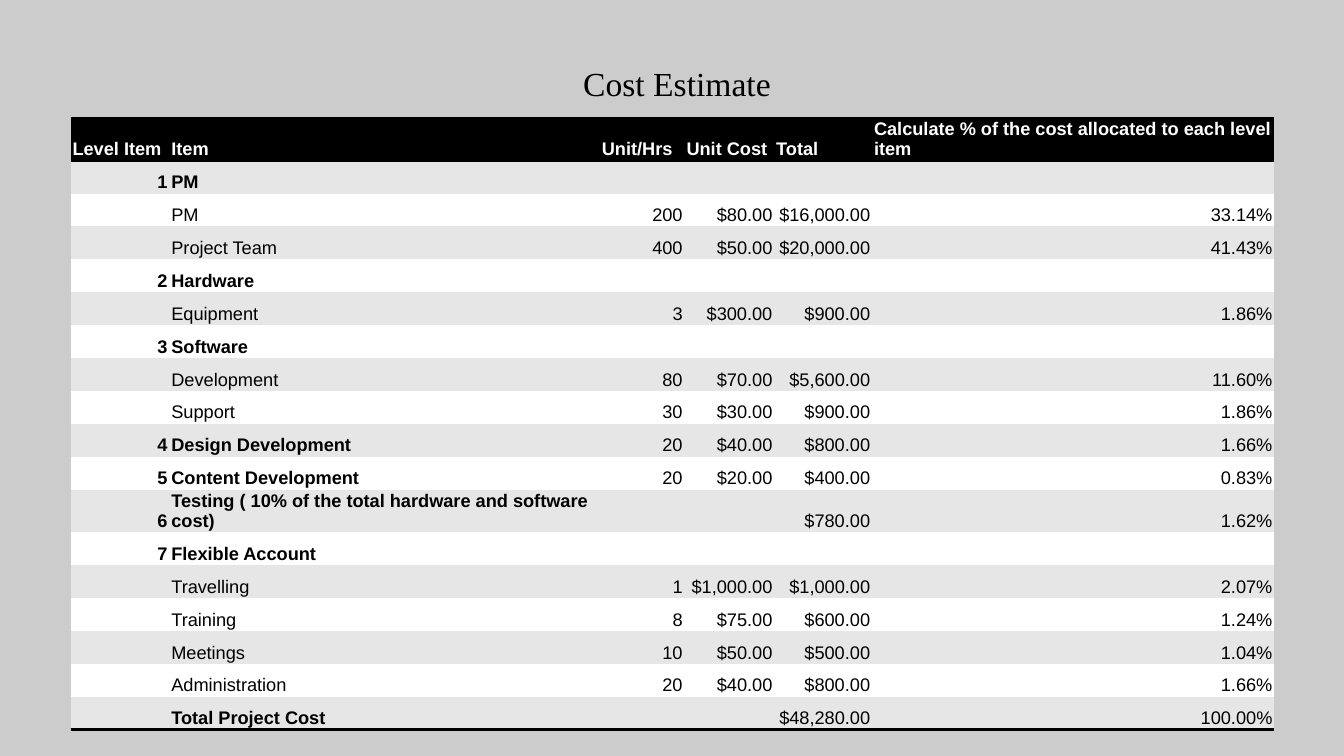
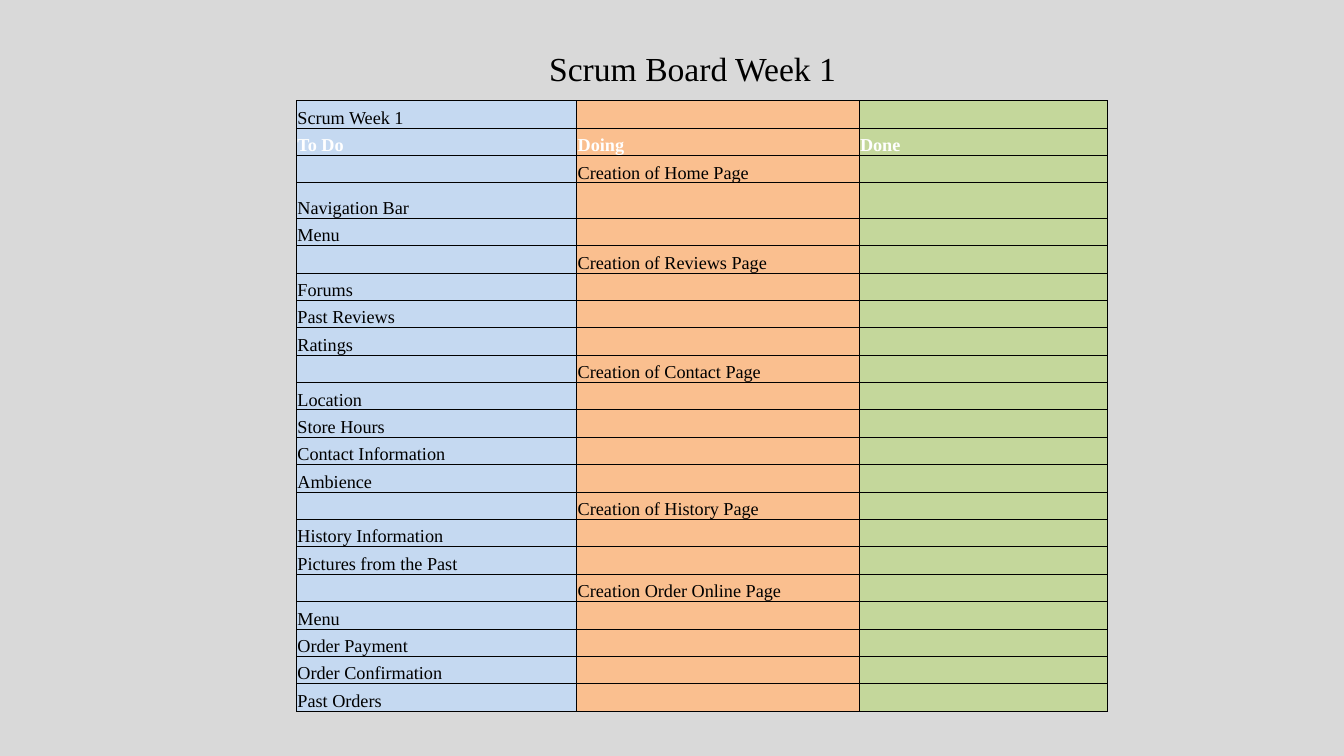
import dataclasses

import lxml.etree
import pptx
import pptx.dml.color
import pptx.enum.text
import pptx.oxml.ns
import pptx.util

Inches = pptx.util.Inches
Align = pptx.enum.text.PP_ALIGN
Anchor = pptx.enum.text.MSO_ANCHOR
qn = pptx.oxml.ns.qn
NO_STYLE = "{2D5ABB26-0587-4C30-8999-92F81FD0307C}"


@dataclasses.dataclass(frozen=True)
class Theme:
    serif: str = "Times New Roman"
    sans: str = "Arial"
    title_size: int = 24
    table_size: int = 13
    black: str = "000000"
    white: str = "FFFFFF"
    cost_page: str = "CCCCCC"
    band: str = "E6E6E6"
    board_page: str = "D9D9D9"
    board_columns: tuple = ("C5D9F1", "FABF8F", "C4D79B")


THEME = Theme()


def rgb(value):
    return pptx.dml.color.RGBColor.from_string(value)


@dataclasses.dataclass
class CellStyle:
    fill: str
    color: str = THEME.black
    bold: bool = False
    align: Align = Align.LEFT
    borders: str = ""  # sides to draw, out of L, R, T and B


class SlideBuilder:
    """Holds the deck, the theme and the current page."""

    def __init__(self, theme):
        self.theme = theme
        self.deck = pptx.Presentation()
        self.deck.slide_width = Inches(13.33)
        self.deck.slide_height = Inches(7.5)
        self.page = None

    def add_page(self, background):
        self.page = self.deck.slides.add_slide(self.deck.slide_layouts[5])
        fill = self.page.background.fill
        fill.solid()
        fill.fore_color.rgb = rgb(background)

    def format_span(self, span, font, size, color, bold=False):
        span.font.name = font
        span.font.size = pptx.util.Pt(size)
        span.font.color.rgb = rgb(color)
        span.font.bold = bold

    def title(self, text, left, top, width):
        box = self.page.shapes.title
        box.left, box.top = Inches(left), Inches(top)
        box.width, box.height = Inches(width), Inches(0.5)
        frame = box.text_frame
        frame.text = text
        frame.vertical_anchor = Anchor.TOP
        para = frame.paragraphs[0]
        para.alignment = Align.CENTER
        self.format_span(para.runs[0], self.theme.serif,
                         self.theme.title_size, self.theme.black)

    def border(self, cell, side, width):
        line = lxml.etree.SubElement(cell._tc.get_or_add_tcPr(), qn("a:ln" + side))
        line.set("w", str(pptx.util.Pt(width)))
        fill = lxml.etree.SubElement(line, qn("a:solidFill"))
        lxml.etree.SubElement(fill, qn("a:srgbClr")).set("val", self.theme.black)

    def cell(self, cell, text, style, font, inset, line_width):
        left, top, right, bottom = inset
        cell.margin_left, cell.margin_right = Inches(left), Inches(right)
        cell.margin_top, cell.margin_bottom = Inches(top), Inches(bottom)
        cell.vertical_anchor = Anchor.BOTTOM
        for side in style.borders:
            self.border(cell, side, line_width)
        cell.fill.solid()
        cell.fill.fore_color.rgb = rgb(style.fill)
        para = cell.text_frame.paragraphs[0]
        size = self.theme.table_size
        if text:
            para.text = text
            para.alignment = style.align
            self.format_span(para.runs[0], font, size, style.color, style.bold)
        else:  # a small end mark keeps empty rows low
            end = lxml.etree.SubElement(para._p, qn("a:endParaRPr"))
            end.set("sz", str(size * 100))

    def table(self, left, top, widths, heights, rows, style_for,
              font, inset, line_width):
        table = self.page.shapes.add_table(
            len(rows), len(widths), Inches(left), Inches(top),
            Inches(sum(widths)), Inches(sum(heights))).table
        table.first_row = table.horz_banding = False
        table._tbl.tblPr.find(qn("a:tableStyleId")).text = NO_STYLE
        for column, width in zip(table.columns, widths):
            column.width = Inches(width)
        for r, (texts, height) in enumerate(zip(rows, heights)):
            table.rows[r].height = Inches(height)
            for c, text in enumerate(texts):
                self.cell(table.cell(r, c), text, style_for(r, c), font,
                          inset, line_width)


# Content: cost table
COST_ROWS = [
    ("Level Item", "Item", "Unit/Hrs", "Unit Cost", "Total",
     "Calculate % of the cost allocated to each level item"),
    ("1", "PM", "", "", "", ""),
    ("", "PM", "200", "$80.00", "$16,000.00", "33.14%"),
    ("", "Project Team", "400", "$50.00", "$20,000.00", "41.43%"),
    ("2", "Hardware", "", "", "", ""),
    ("", "Equipment", "3", "$300.00", "$900.00", "1.86%"),
    ("3", "Software", "", "", "", ""),
    ("", "Development", "80", "$70.00", "$5,600.00", "11.60%"),
    ("", "Support", "30", "$30.00", "$900.00", "1.86%"),
    ("4", "Design Development", "20", "$40.00", "$800.00", "1.66%"),
    ("5", "Content Development", "20", "$20.00", "$400.00", "0.83%"),
    ("6", "Testing ( 10% of the total hardware and software cost)",
     "", "", "$780.00", "1.62%"),
    ("7", "Flexible Account", "", "", "", ""),
    ("", "Travelling", "1", "$1,000.00", "$1,000.00", "2.07%"),
    ("", "Training", "8", "$75.00", "$600.00", "1.24%"),
    ("", "Meetings", "10", "$50.00", "$500.00", "1.04%"),
    ("", "Administration", "20", "$40.00", "$800.00", "1.66%"),
    ("", "Total Project Cost", "", "", "$48,280.00", "100.00%"),
]

# Content: each page being made, with its open tasks
BOARD = [
    ("Creation of Home Page", ["Navigation Bar", "Menu"]),
    ("Creation of Reviews Page", ["Forums", "Past Reviews", "Ratings"]),
    ("Creation of Contact Page",
     ["Location", "Store Hours", "Contact Information", "Ambience"]),
    ("Creation of History Page",
     ["History Information", "Pictures from the Past"]),
    ("Creation Order Online Page",
     ["Menu", "Order Payment", "Order Confirmation", "Past Orders"]),
]


def cost_style(r, c):
    if r == 0:
        return CellStyle(THEME.black, THEME.white, bold=True, borders="TB")
    last = r == len(COST_ROWS) - 1
    return CellStyle(
        fill=THEME.band if r % 2 else THEME.white,
        bold=c == 0 or (c == 1 and (last or COST_ROWS[r][0] != "")),
        align=Align.LEFT if c == 1 else Align.RIGHT,
        borders="B" if last else "")


def board_style(r, c):
    heading = r == 1
    return CellStyle(THEME.board_columns[c],
                     THEME.white if heading else THEME.black,
                     bold=heading, borders="LRTB")


def cost_page(builder):
    builder.add_page(THEME.cost_page)
    builder.title("Cost Estimate", 5.61, 0.57, 2.21)
    count = len(COST_ROWS)
    builder.table(0.7, 1.17, [0.98, 4.27, 0.84, 0.89, 0.97, 3.99],
                  [5.88 / count] * count, COST_ROWS, cost_style,
                  THEME.sans, (0.02, 0.01, 0.02, 0.01), 2)


def board_page(builder):
    builder.add_page(THEME.board_page)
    builder.title("Scrum Board Week 1", 4.94, 0.43, 3.86)
    rows = [("Scrum Week 1", "", ""), ("To Do", "Doing", "Done")]
    for doing, tasks in BOARD:
        rows.append(("", doing, ""))
        rows.extend((task, "", "") for task in tasks)
    tall = 0.35
    heights = [(6.06 - tall) / (len(rows) - 1)] * len(rows)
    heights[3] = tall
    builder.table(2.94, 1, [2.78, 2.8, 2.46], heights, rows, board_style,
                  THEME.serif, (0.01, 0.01, 0.01, 0), 0.75)


def main():
    builder = SlideBuilder(THEME)
    cost_page(builder)
    board_page(builder)
    builder.deck.save("out.pptx")


if __name__ == "__main__":
    main()
